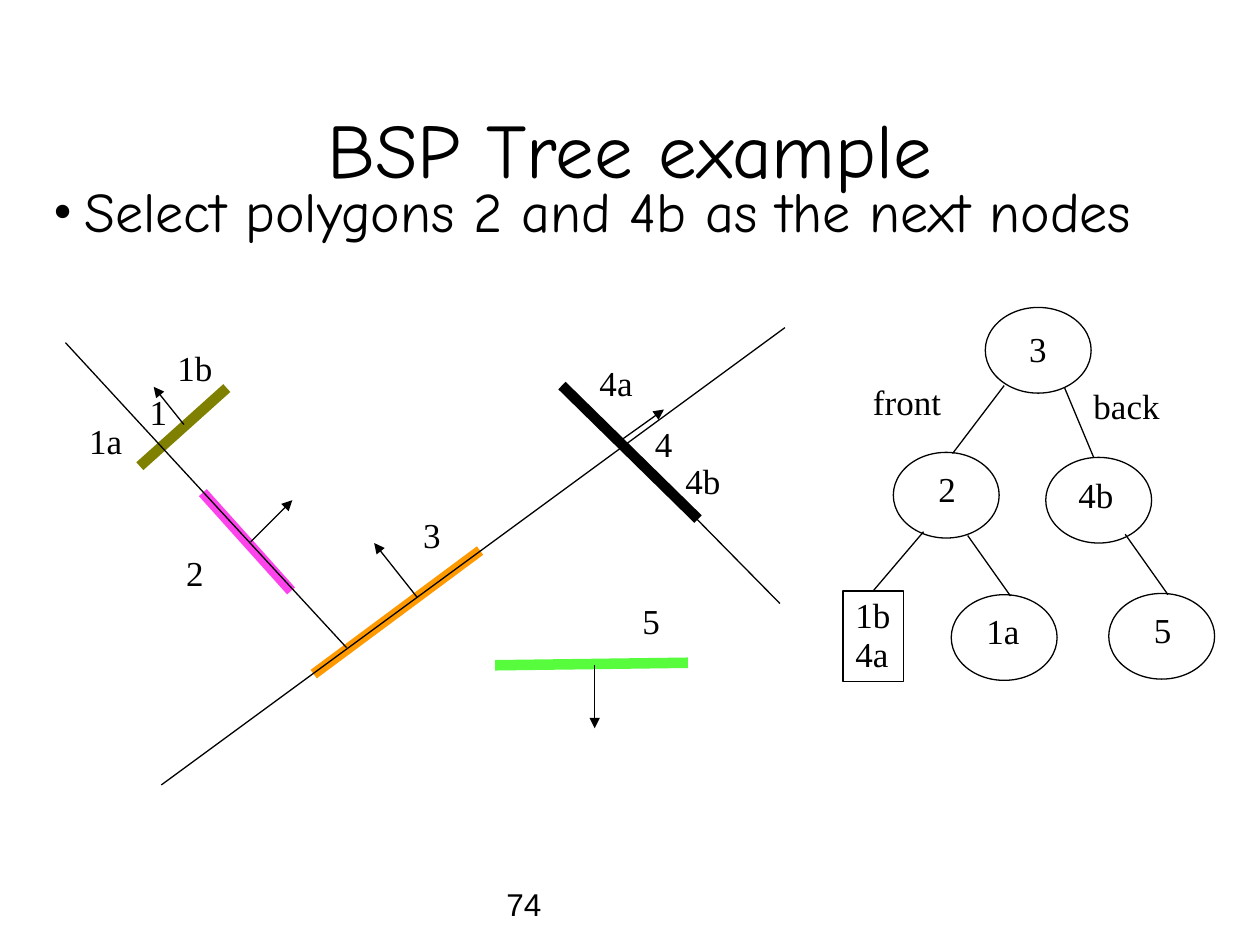
from dataclasses import dataclass

from lxml import etree
from pptx import Presentation
from pptx.dml.color import RGBColor
from pptx.enum.shapes import MSO_CONNECTOR, MSO_SHAPE
from pptx.enum.text import MSO_ANCHOR, MSO_AUTO_SIZE, PP_ALIGN
from pptx.oxml.ns import qn
from pptx.util import Inches, Pt


@dataclass(frozen=True)
class Theme:
    ink: str = "000000"
    olive: str = "808000"
    green: str = "57FC3C"
    pink: str = "FD43EB"
    orange: str = "FF9900"
    heading_font: str = "Comic Neue"
    label_font: str = "Times New Roman"
    number_font: str = "Arial"
    title_size: int = 44
    body_size: int = 32
    label_size: int = 20
    number_size: int = 18
    thin: float = 0.75
    thick: float = 6


THEME = Theme()
NODE_SIZE = (0.84, 0.68)
LABEL_HEIGHT = 0.41
LABEL_WIDTHS = {"1a": 0.46, "4a": 0.46, "1b": 0.48, "4b": 0.48, "front": 0.75, "back": 0.75}
DIGIT_WIDTH = 0.34


def color(code):
    return RGBColor.from_string(code)


def set_all(target, **values):
    for name, value in values.items():
        setattr(target, name, value)


def write(shape, lines, font_name, size, align=PP_ALIGN.LEFT, **frame_format):
    frame = shape.text_frame
    set_all(frame, **frame_format)
    for index, line in enumerate(lines):
        paragraph = frame.paragraphs[0] if index == 0 else frame.add_paragraph()
        set_all(paragraph, text=line, alignment=align, line_spacing=0.93)
        set_all(paragraph.runs[0].font, name=font_name, size=Pt(size))
        paragraph.runs[0].font.color.rgb = color(THEME.ink)


def add_text(slide, box, text, font_name, size, **options):
    shape = slide.shapes.add_textbox(*map(Inches, box))
    write(shape, [text], font_name, size, **options)
    return shape


def add_label(slide, origin, text, x, y):
    box = (origin[0] + x, origin[1] + y, LABEL_WIDTHS.get(text, DIGIT_WIDTH), LABEL_HEIGHT)
    add_text(slide, box, text, THEME.label_font, THEME.label_size,
             word_wrap=False, auto_size=MSO_AUTO_SIZE.SHAPE_TO_FIT_TEXT)


def add_line(slide, origin, ends, line_color=THEME.ink, width=THEME.thin, arrow=False):
    """Draw a straight line; ends is (x1, y1, x2, y2) from the region's origin."""
    points = [Inches(value + origin[i % 2]) for i, value in enumerate(ends)]
    line = slide.shapes.add_connector(MSO_CONNECTOR.STRAIGHT, *points)
    line.line.color.rgb = color(line_color)
    line.line.width = Pt(width)
    properties = line._element.spPr
    if arrow:
        outline = properties.find(qn("a:ln"))
        etree.SubElement(outline, qn("a:tailEnd"), type="triangle")
    etree.SubElement(properties, qn("a:effectLst"))
    return line


def add_outline(slide, kind, origin, x, y, size):
    shape = slide.shapes.add_shape(
        kind, *map(Inches, (origin[0] + x, origin[1] + y, *size)))
    shape.shadow.inherit = False
    shape.fill.background()
    shape.line.color.rgb = color(THEME.ink)
    shape.line.width = Pt(THEME.thin)
    return shape


def add_heading(slide, box):
    """Place the title and the bullet line that overlaps its lower edge."""
    left, top, width, height = box
    no_inset = dict(margin_left=0, margin_right=0, margin_bottom=0, word_wrap=True)
    add_text(slide, (left + 0.08, top, width - 0.16, height), "BSP Tree example",
             THEME.heading_font, THEME.title_size, align=PP_ALIGN.CENTER,
             vertical_anchor=MSO_ANCHOR.BOTTOM, margin_top=0, **no_inset)
    bullet = add_text(slide, (left, top + 1.12, width - 0.08, 0.63),
                      "Select polygons 2 and 4b as the next nodes",
                      THEME.heading_font, THEME.body_size,
                      margin_top=Inches(0.03), **no_inset)
    paragraph = bullet.text_frame.paragraphs[0]
    paragraph.space_after = Pt(14.3)
    properties = paragraph._p.get_or_add_pPr()
    properties.set("marL", str(Inches(0.25)))
    properties.set("indent", str(Inches(-0.25)))
    etree.SubElement(properties, qn("a:buFont"), typeface=THEME.label_font)
    etree.SubElement(properties, qn("a:buChar"), char="•")


def add_partition(slide, origin):
    """Draw the polygons, their normals and the splitting lines."""
    polygons = [
        ((1.3, 0.48, 0.61, 1.1), THEME.olive),
        ((3.96, 0.46, 5.04, 1.52), THEME.ink),
        ((3.43, 2.68, 4.96, 2.66), THEME.green),
        ((1.11, 1.31, 1.81, 2.09), THEME.pink),
        ((1.99, 2.75, 3.31, 1.77), THEME.orange),
    ]
    normals = [
        (0.96, 0.77, 0.72, 0.47),
        (1.49, 1.7, 1.82, 1.37),
        (2.81, 2.14, 2.47, 1.71),
        (4.42, 0.9, 4.77, 0.65),
        (4.22, 2.68, 4.22, 3.18),
    ]
    splits = [
        (0.78, 3.63, 5.73, 0),
        (2.25, 2.54, 0.02, 0.12),
        (4.45, 0.93, 5.69, 2.19),
    ]
    labels = [
        ("1", 0.59, 0.48), ("2", 0.88, 1.76), ("3", 2.76, 1.46),
        ("4", 4.6, 0.73), ("5", 4.5, 2.14), ("4a", 4.16, 0.25),
        ("4b", 4.84, 1.03), ("1b", 0.81, 0.13), ("1a", 0.11, 0.71),
    ]
    for ends, polygon_color in polygons:
        add_line(slide, origin, ends, polygon_color, THEME.thick)
    for ends in normals:
        add_line(slide, origin, ends, arrow=True)
    for ends in splits:
        add_line(slide, origin, ends)
    for label in labels:
        add_label(slide, origin, *label)


def add_tree(slide, origin):
    nodes = [(1.13, 0), (0.4, 1.15), (1.61, 1.19), (0.86, 2.28), (2.11, 2.27)]
    edges = [
        (1.28, 0.62, 0.87, 1.16), (1.76, 0.64, 1.99, 1.19),
        (0.99, 1.81, 1.33, 2.29), (2.24, 1.8, 2.58, 2.28),
    ]
    labels = [
        ("3", 1.38, 0.14), ("2", 0.66, 1.25), ("4b", 1.77, 1.3),
        ("1a", 1.04, 2.38), ("5", 2.37, 2.37),
        ("front", 0.14, 0.56), ("back", 1.89, 0.59),
    ]
    for x, y in nodes:
        add_outline(slide, MSO_SHAPE.OVAL, origin, x, y, NODE_SIZE)
    pending = add_outline(slide, MSO_SHAPE.RECTANGLE, origin, 0, 2.25, (0.48, 0.72))
    write(pending, ["1b", "4a"], THEME.label_font, THEME.label_size, word_wrap=False,
          vertical_anchor=MSO_ANCHOR.TOP, auto_size=MSO_AUTO_SIZE.SHAPE_TO_FIT_TEXT)
    for ends in edges:
        add_line(slide, origin, ends)
    pending_edge = add_line(slide, origin, (0.64, 1.78, 0.24, 2.25))
    pending_edge.end_connect(pending, 0)
    for label in labels:
        add_label(slide, origin, *label)


def main():
    deck = Presentation()
    set_all(deck, slide_width=Inches(10), slide_height=Inches(7.5))
    slide = deck.slides.add_slide(deck.slide_layouts[6])
    add_heading(slide, (0.42, 0.3, 9.16, 1.25))
    add_partition(slide, (0.5, 2.6))
    add_tree(slide, (6.69, 2.44))
    add_text(slide, (3.92, 7, 2.33, 0.33), "74",
             THEME.number_font, THEME.number_size, word_wrap=True)
    deck.save("out.pptx")


if __name__ == "__main__":
    main()
